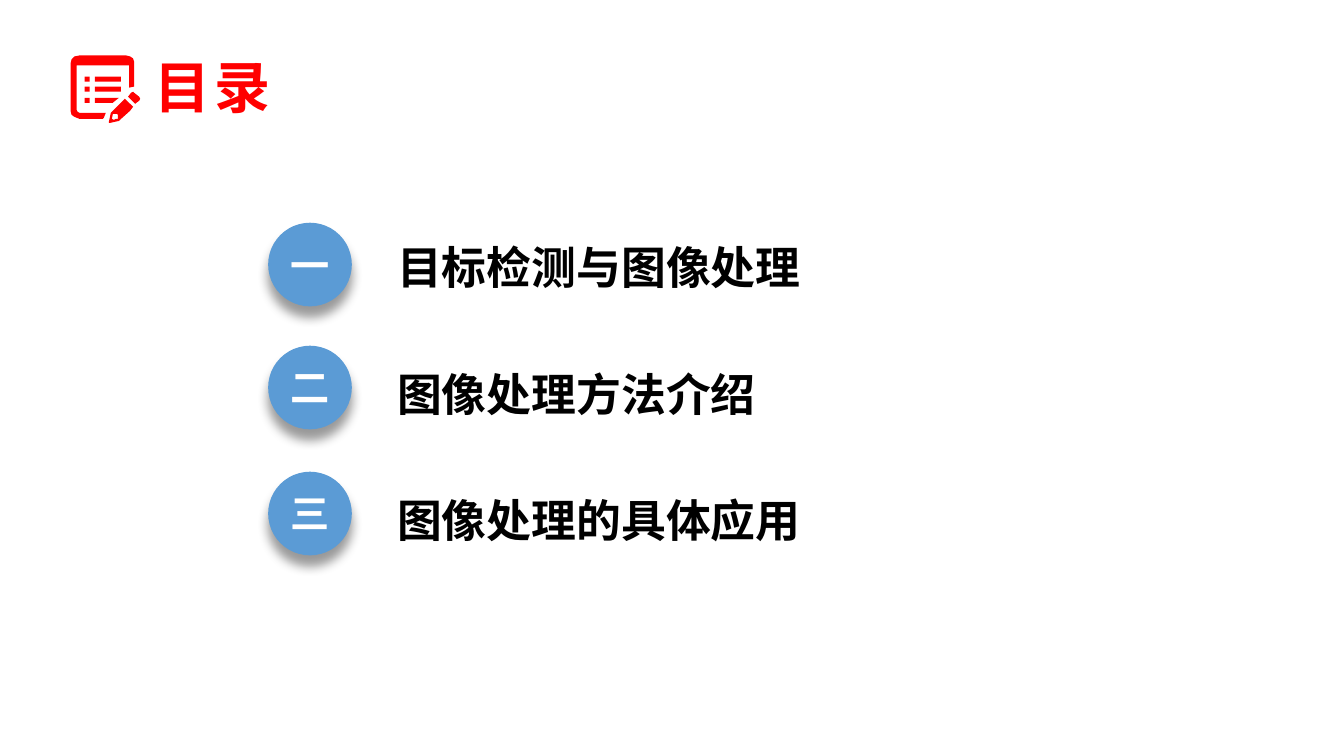
import pptx
import pptx.dml.color
import pptx.enum.shapes
import pptx.enum.text
import pptx.oxml
import pptx.oxml.ns
import pptx.util

SCALE = 9144
FONT = "Noto Sans CJK SC"
RED, BLUE, BLACK, WHITE = "FF0000", "5B9BD5", "000000", "FFFFFF"
CENTER = pptx.enum.text.PP_ALIGN.CENTER
LEFT = pptx.enum.text.PP_ALIGN.LEFT
SHAPES = pptx.enum.shapes.MSO_SHAPE

CHAPTERS = [
    ("一", "目标检测与图像处理", 221, 233),
    ("二", "图像处理方法介绍", 343, 359),
    ("三", "图像处理的具体应用", 468, 484),
]

NOTE_FRAME = [
    (105, 112), (103, 117), (102, 118), (79, 118), (74, 116), (71, 114),
    (70, 110), (70, 63), (71, 59), (74, 56), (79, 55), (125, 55),
    (129, 56), (132, 58), (133, 61), (133, 86), (128, 87), (128, 65),
    (76, 65), (76, 109), (77, 111), (79, 112),
]
PENCIL_BODY = [
    (124, 98), (132, 106), (129, 110), (119, 119), (118, 120),
    (109, 122), (108, 122), (108, 121), (110, 112), (111, 111),
]
PENCIL_TIP = [
    (112, 113), (111, 118), (113, 119), (115, 118), (117, 118),
    (117, 114), (116, 113),
]
PENCIL_END = [
    (127, 96), (130, 92), (132, 91), (133, 92), (138, 96),
    (139, 98), (138, 100), (134, 103),
]
SHORT_LINE = [(94, 97), (118, 97), (113, 101), (112, 102), (94, 102)]


def px(*lengths):
    return [pptx.util.Emu(length * SCALE) for length in lengths]


def color(value):
    return pptx.dml.color.RGBColor.from_string(value)


def paint(shape, fill):
    shape.fill.solid()
    shape.fill.fore_color.rgb = color(fill)
    shape.line.fill.background()
    shape.shadow.inherit = False


def add_text(page, left, top, width, height, text, size, fill, align=LEFT, spacing=0):
    box = page.shapes.add_textbox(*px(left, top, width, height))
    frame = box.text_frame
    frame.word_wrap = True
    frame.auto_size = pptx.enum.text.MSO_AUTO_SIZE.SHAPE_TO_FIT_TEXT
    frame.text = text
    para = frame.paragraphs[0]
    para.alignment = align
    span = para.runs[0]
    span.font.name = FONT
    span.font.size = pptx.util.Pt(size)
    span.font.bold = True
    span.font.color.rgb = color(fill)
    properties = span.font._element
    east_asian = pptx.oxml.parse_xml(
        f'<a:ea {pptx.oxml.ns.nsdecls("a")} typeface="{FONT}"/>')
    properties.find(pptx.oxml.ns.qn("a:latin")).addnext(east_asian)
    if spacing:
        properties.set("spc", str(spacing * 100))


def add_disc(page, left, top, size):
    disc = page.shapes.add_shape(SHAPES.OVAL, *px(left, top, size, size))
    paint(disc, BLUE)
    blur = pptx.util.Pt(8)
    shadow = pptx.oxml.parse_xml(
        f'<a:outerShdw {pptx.oxml.ns.nsdecls("a")} blurRad="{blur}" dist="{blur}" '
        'dir="5400000" algn="t" rotWithShape="0">'
        '<a:srgbClr val="000000"><a:alpha val="40000"/></a:srgbClr></a:outerShdw>')
    disc._element.spPr.find(pptx.oxml.ns.qn("a:effectLst")).append(shadow)


def add_outline(group, *contours):
    builder = group.shapes.build_freeform(*contours[0][0], scale=SCALE)
    builder.add_line_segments(contours[0][1:], close=True)
    for contour in contours[1:]:
        builder.move_to(*contour[0])
        builder.add_line_segments(contour[1:], close=True)
    paint(builder.convert_to_shape(), RED)


def add_bar(group, left, top, width):
    bar = group.shapes.add_shape(SHAPES.RECTANGLE, *px(left, top, width, 5))
    paint(bar, RED)


def add_note_icon(page):
    group = page.shapes.add_group_shape()
    add_outline(group, NOTE_FRAME)
    add_outline(group, PENCIL_BODY, PENCIL_TIP)
    add_outline(group, PENCIL_END)
    add_outline(group, SHORT_LINE)
    for top in (76, 86, 97):
        add_bar(group, 84, top, 5)
    for top in (76, 86):
        add_bar(group, 94, top, 26)


def main():
    deck = pptx.Presentation()
    deck.slide_width, deck.slide_height = px(1333, 750)
    page = deck.slides.add_slide(deck.slide_layouts[6])
    for numeral, title, disc_top, title_top in CHAPTERS:
        add_disc(page, 266, disc_top, 83)
        add_text(page, 278, disc_top + 13, 60, 57, numeral, 28, WHITE, CENTER)
        add_text(page, 384, title_top, 496, 64, title, 32, BLACK)
    add_note_icon(page)
    add_text(page, 115, 47, 192, 77, "目录", 40, RED, CENTER, spacing=3)
    deck.save("out.pptx")


if __name__ == "__main__":
    main()
